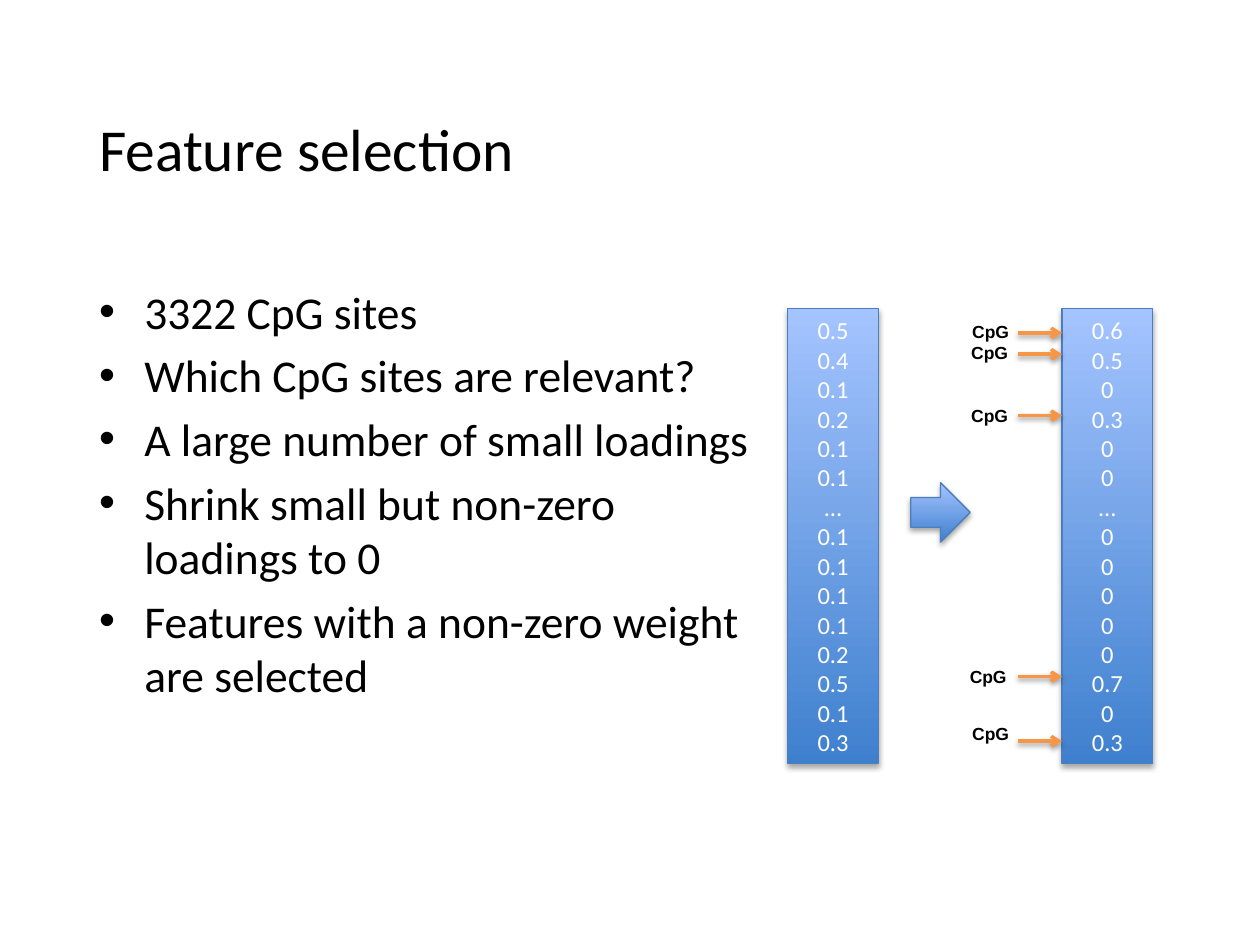
from lxml.etree import SubElement
from pptx import Presentation
from pptx.dml.color import RGBColor
from pptx.enum.shapes import MSO_CONNECTOR, MSO_SHAPE
from pptx.enum.text import MSO_ANCHOR, MSO_AUTO_SIZE, PP_ALIGN
from pptx.oxml.ns import qn
from pptx.util import Cm, Pt

COLOURS = {
    "text": "000000",
    "bar_text": "FFFFFF",
    "bar_bottom": "3F80CE",
    "bar_top": "A4C4FF",
    "bar_line": "4B7EBC",
    "pointer": "F79646",
    "shadow": "000000",
}
BULLETS = [
    "3322 CpG sites",
    "Which CpG sites are relevant?",
    "A large number of small loadings",
    "Shrink small but non-zero loadings to 0",
    "Features with a non-zero weight are selected",
]
LOADINGS = "0.5 0.4 0.1 0.2 0.1 0.1 … 0.1 0.1 0.1 0.1 0.2 0.5 0.1 0.3".split()
SPARSE_LOADINGS = "0.6 0.5 0 0.3 0 0 … 0 0 0 0 0 0.7 0 0.3".split()
POINTERS = [
    (6.71, 19.35, 6.35),
    (7.14, 19.33, 6.78),
    (8.38, 19.33, 8.03),
    (13.64, 19.3, 13.31),
    (14.94, 19.35, 14.45),
]


def colour(name):
    return RGBColor.from_string(COLOURS[name])


def format_paragraph(paragraph, size, colour_name, font="Calibri", bold=False):
    for run in paragraph.runs:
        run.font.name = font
        run.font.size = Pt(size)
        run.font.bold = bold
        run.font.color.rgb = colour(colour_name)


def clear_margins(text_frame):
    text_frame.margin_left = text_frame.margin_right = 0
    text_frame.margin_top = text_frame.margin_bottom = 0


def add_shadow(properties, opacity, distance):
    effects = properties.find(qn("a:effectLst"))
    if effects is None:
        effects = SubElement(properties, qn("a:effectLst"))
    shadow = SubElement(effects, qn("a:outerShdw"), blurRad=str(Pt(3.1)),
                        dist=str(Pt(distance)), dir="5400000", rotWithShape="0")
    shade = SubElement(shadow, qn("a:srgbClr"), val=COLOURS["shadow"])
    SubElement(shade, qn("a:alpha"), val=str(opacity * 1000))


def set_title(slide, text):
    title = slide.shapes.title
    title.left, title.top, title.width, title.height = Cm(2), Cm(2.26), Cm(20.96), Cm(3.02)
    text_frame = title.text_frame
    text_frame.text = text
    text_frame.auto_size = MSO_AUTO_SIZE.NONE
    text_frame.vertical_anchor = MSO_ANCHOR.TOP
    clear_margins(text_frame)
    paragraph = text_frame.paragraphs[0]
    paragraph.alignment = PP_ALIGN.LEFT
    format_paragraph(paragraph, 34, "text")


def add_bullets(slide, items):
    text_frame = slide.shapes.add_textbox(Cm(2), Cm(5.72), Cm(13.34), Cm(9.7)).text_frame
    text_frame.word_wrap = True
    clear_margins(text_frame)
    text_frame.text = "\n".join(items)
    for index, paragraph in enumerate(text_frame.paragraphs):
        paragraph.space_before = Pt(5.2 if index else 0)
        properties = paragraph._p.get_or_add_pPr()
        properties.set("marL", str(Cm(0.91)))
        properties.set("indent", str(-Cm(0.91)))
        SubElement(properties, qn("a:buFont"), typeface="Arial")
        SubElement(properties, qn("a:buChar"), char="•")
        format_paragraph(paragraph, 26, "text")


def add_gradient_shape(slide, kind, left, top, width, height):
    shape = slide.shapes.add_shape(kind, Cm(left), Cm(top), Cm(width), Cm(height))
    shape.fill.gradient()
    shape.fill.gradient_angle = 90
    for stop, name in zip(shape.fill.gradient_stops, ("bar_bottom", "bar_top")):
        stop.color.rgb = colour(name)
    shape.line.color.rgb = colour("bar_line")
    shape.line.width = Pt(0.75)
    shape.shadow.inherit = False
    add_shadow(shape._element.spPr, 35, 1.8)
    return shape


def add_loading_bar(slide, left, values):
    bar = add_gradient_shape(slide, MSO_SHAPE.RECTANGLE, left, 6.22, 1.83, 9.17)
    text_frame = bar.text_frame
    text_frame.text = "\n".join(values)
    text_frame.vertical_anchor = MSO_ANCHOR.MIDDLE
    for paragraph in text_frame.paragraphs:
        paragraph.alignment = PP_ALIGN.CENTER
        format_paragraph(paragraph, 14, "bar_text")


def add_pointer(slide, height):
    connector = slide.shapes.add_connector(
        MSO_CONNECTOR.STRAIGHT, Cm(20.52), Cm(height), Cm(21.41), Cm(height))
    connector.line.color.rgb = colour("pointer")
    connector.line.width = Pt(2)
    properties = connector._element.spPr
    SubElement(properties.find(qn("a:ln")), qn("a:tailEnd"), type="arrow")
    add_shadow(properties, 38, 1.6)


def add_label(slide, left, top, text):
    text_frame = slide.shapes.add_textbox(Cm(left), Cm(top), Cm(2.13), Cm(0.69)).text_frame
    text_frame.word_wrap = True
    text_frame.text = text
    format_paragraph(text_frame.paragraphs[0], 10, "text", "Arial", True)


def main():
    presentation = Presentation()
    presentation.slide_width, presentation.slide_height = Cm(25.4), Cm(19.05)
    slide = presentation.slides.add_slide(presentation.slide_layouts[5])
    set_title(slide, "Feature selection")
    add_bullets(slide, BULLETS)
    add_loading_bar(slide, 15.88, LOADINGS)
    add_loading_bar(slide, 21.41, SPARSE_LOADINGS)
    for pointer_height, label_left, label_top in POINTERS:
        add_pointer(slide, pointer_height)
        add_label(slide, label_left, label_top, "CpG")
    add_gradient_shape(slide, MSO_SHAPE.RIGHT_ARROW, 18.36, 9.73, 1.2, 1.2)
    presentation.save("out.pptx")


if __name__ == "__main__":
    main()
